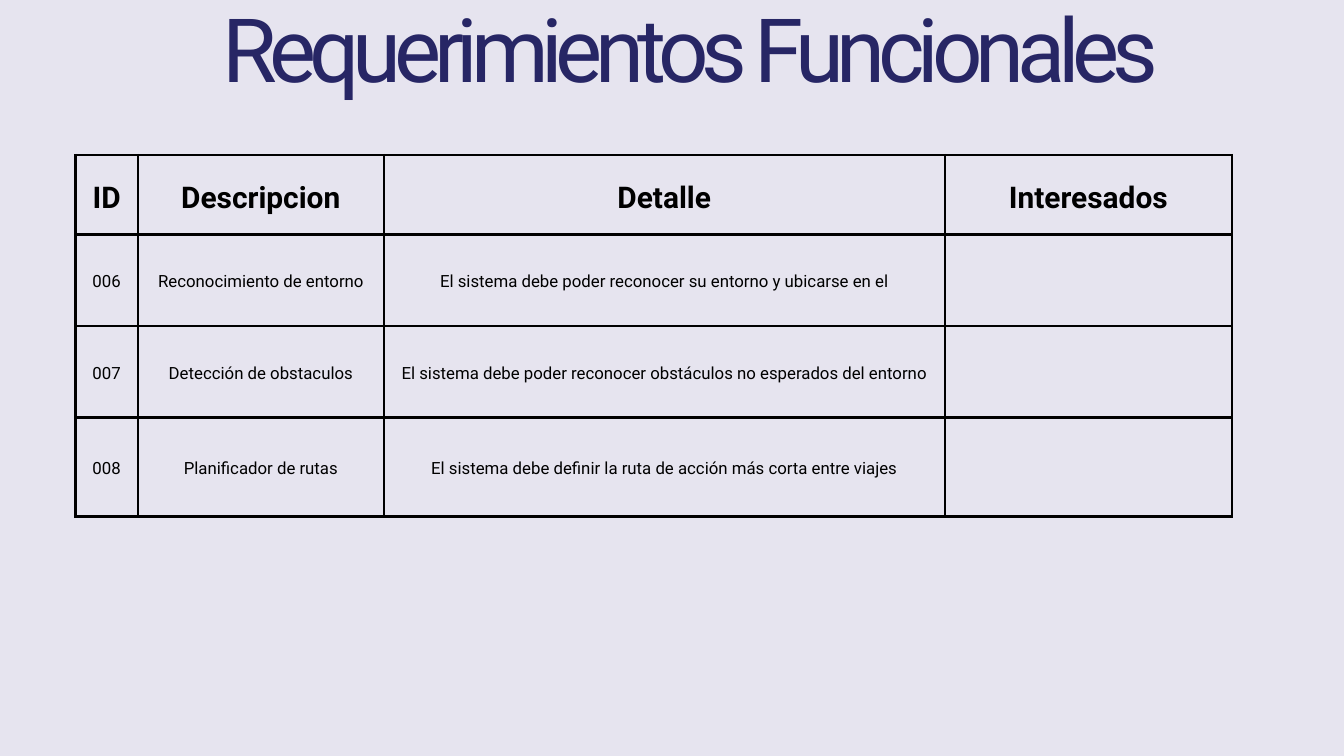
from lxml.etree import SubElement
from pptx import Presentation
from pptx.dml.color import RGBColor
from pptx.enum.text import MSO_ANCHOR, MSO_AUTO_SIZE, PP_ALIGN
from pptx.oxml.ns import qn
from pptx.util import Pt

BLACK = RGBColor(0x00, 0x00, 0x00)
NAVY = RGBColor(0x27, 0x26, 0x65)
LILAC = RGBColor(0xE6, 0xE4, 0xEF)


def write(frame, text, size, lead, color=BLACK, bold=False, track=0):
    para = frame.paragraphs[0]
    para.alignment = PP_ALIGN.CENTER
    para.line_spacing = Pt(lead)
    para.space_before = Pt(0)
    run = para.add_run()
    run.text = text
    run.font.name = "Roboto"
    run.font.size = Pt(size)
    run.font.bold = bold
    run.font.color.rgb = color
    if track:
        run.font._element.set("spc", str(round(track * 100)))


def border(cell, width):
    props = cell._tc.get_or_add_tcPr()
    for side in ("a:lnL", "a:lnR", "a:lnT", "a:lnB"):
        line = SubElement(props, qn(side), w=str(Pt(width)))
        fill = SubElement(line, qn("a:solidFill"))
        SubElement(fill, qn("a:srgbClr"), val=str(BLACK))


deck = Presentation()
deck.slide_width, deck.slide_height = Pt(1440), Pt(810)
slide = deck.slides.add_slide(deck.slide_layouts[5])
slide.background.fill.solid()
slide.background.fill.fore_color.rgb = LILAC

widths = [67, 263.5, 601, 308]
heights = [85, 98, 98, 106]
rows = [
    ["ID", "Descripcion", "Detalle", "Interesados"],
    ["006", "Reconocimiento de entorno",
     "El sistema debe poder reconocer su entorno y ubicarse en el", ""],
    ["007", "Detección de obstaculos",
     "El sistema debe poder reconocer obstáculos no esperados del entorno", ""],
    ["008", "Planificador de rutas",
     "El sistema debe definir la ruta de acción más corta entre viajes", ""],
]

table = slide.shapes.add_table(
    len(rows), len(widths), Pt(80.8), Pt(166.3),
    Pt(sum(widths)), Pt(sum(heights))).table
table.first_row = False
table.horz_banding = False
for col, width in zip(table.columns, widths):
    col.width = Pt(width)
for row, height in zip(table.rows, heights):
    row.height = Pt(height)

for r, texts in enumerate(rows):
    size = 18 if r else 32
    for c, text in enumerate(texts):
        cell = table.cell(r, c)
        cell.vertical_anchor = MSO_ANCHOR.MIDDLE
        cell.margin_left = cell.margin_right = Pt(15)
        cell.margin_top = cell.margin_bottom = Pt(15)
        border(cell, 3)
        cell.fill.background()
        if text:
            write(cell.text_frame, text, size=size, lead=size * 1.4, bold=r == 0)

title = slide.shapes.title
title.left, title.top = Pt(177), Pt(16.5)
title.width, title.height = Pt(1125.5), Pt(97)
frame = title.text_frame
frame.margin_left = frame.margin_right = Pt(0)
frame.margin_top = frame.margin_bottom = Pt(0)
frame.vertical_anchor = MSO_ANCHOR.TOP
frame.auto_size = MSO_AUTO_SIZE.NONE
frame.word_wrap = True
write(frame, "Requerimientos Funcionales", size=95, lead=91.2, color=NAVY, track=-7.8)

deck.save("out.pptx")
